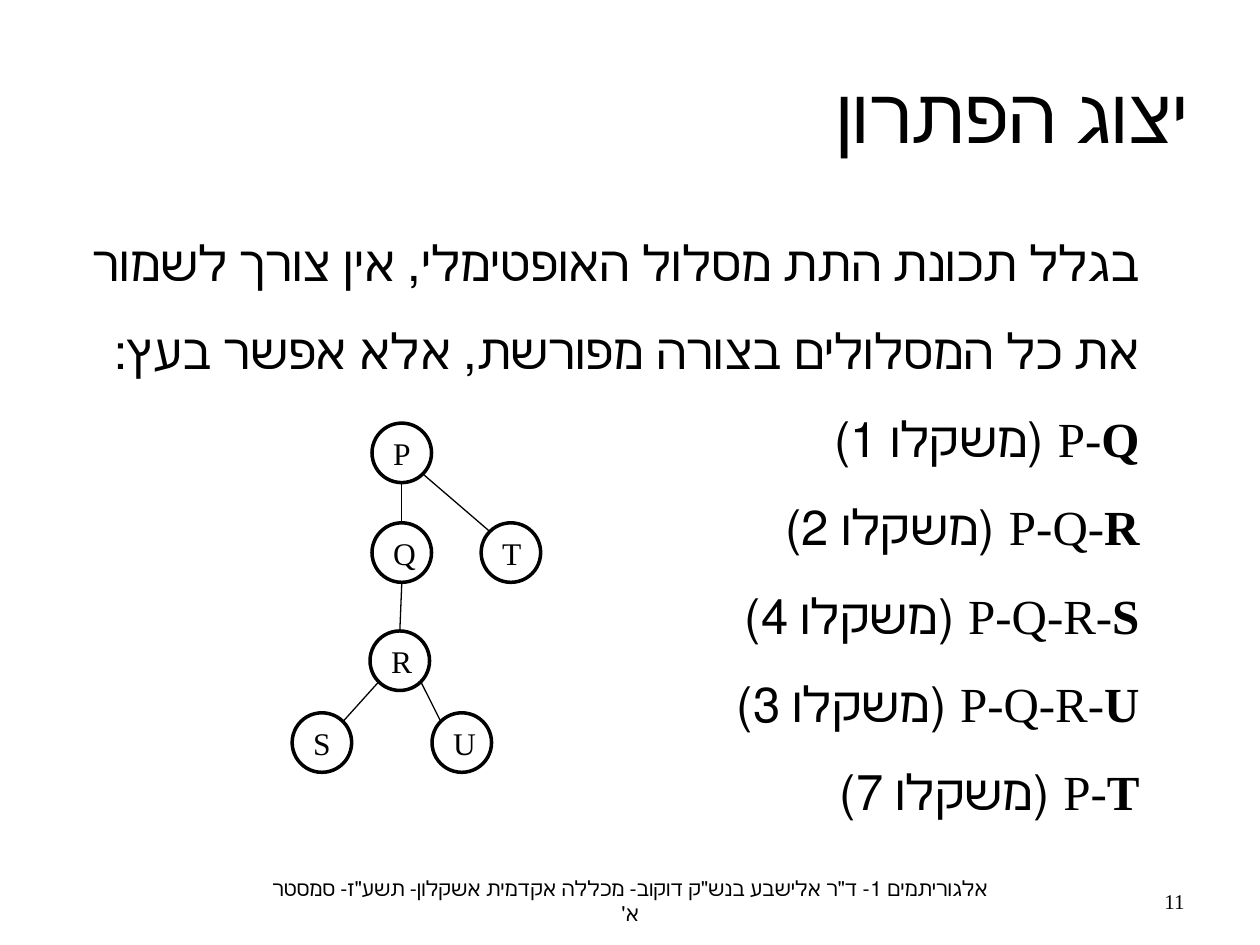
import math
from dataclasses import dataclass

from lxml import etree
from pptx import Presentation
from pptx import util as u
from pptx.dml.color import RGBColor
from pptx.enum import shapes, text
from pptx.oxml.ns import qn

BLACK = RGBColor(0, 0, 0)
WHITE = RGBColor(255, 255, 255)
FONT = "Times New Roman"
DIAMETER = 1.2  # cm
LEFT, CENTER, RIGHT = text.PP_ALIGN.LEFT, text.PP_ALIGN.CENTER, text.PP_ALIGN.RIGHT


@dataclass(frozen=True)
class Node:
    name: str
    x: float  # centre, cm
    y: float

    def rim(self, angle: float) -> tuple[u.Cm, u.Cm]:
        """Point on the circle, clockwise in degrees from the right."""
        a = math.radians(angle)
        return (u.Cm(self.x + DIAMETER / 2 * math.cos(a)),
                u.Cm(self.y + DIAMETER / 2 * math.sin(a)))


@dataclass(frozen=True)
class Edge:
    parent: str
    child: str
    angle: float  # where the line leaves the parent


@dataclass(frozen=True)
class Route:
    prefix: str
    last: str
    weight: int


NODES = [
    Node("P", 8.1, 9.13),
    Node("Q", 8.1, 11.14),
    Node("R", 8.06, 13.32),
    Node("U", 9.31, 14.97),
    Node("S", 6.49, 14.97),
    Node("T", 10.3, 11.14),
]
EDGES = [
    Edge("P", "Q", 90),
    Edge("Q", "R", 90),
    Edge("R", "S", 135),
    Edge("R", "U", 45),
    Edge("P", "T", 45),
]
ROUTES = [
    Route("P-", "Q", 1),
    Route("P-Q-", "R", 2),
    Route("P-Q-R-", "S", 4),
    Route("P-Q-R-", "U", 3),
    Route("P-", "T", 7),
]


def write(p, content: str, *, size: float, bold: bool = False, align=RIGHT,
          rtl: bool = False, spacing: float | None = None) -> None:
    """Append a run to a paragraph and format both."""
    p.alignment = align
    if rtl:
        p._p.get_or_add_pPr().set("rtl", "1")
    if spacing:
        p.line_spacing = spacing
    r = p.add_run()
    r.text = content
    r.font.name = FONT
    r.font.size = u.Pt(size)
    r.font.bold = bold
    r.font.color.rgb = BLACK


def add_box(s, x: float, y: float, w: float, h: float, anchor=text.MSO_ANCHOR.MIDDLE):
    tf = s.shapes.add_textbox(u.Cm(x), u.Cm(y), u.Cm(w), u.Cm(h)).text_frame
    tf.word_wrap = True
    tf.vertical_anchor = anchor
    return tf


def add_node(s, node: Node) -> None:
    r = DIAMETER / 2
    sp = s.shapes.add_shape(shapes.MSO_SHAPE.OVAL, u.Cm(node.x - r), u.Cm(node.y - r),
                            u.Cm(DIAMETER), u.Cm(DIAMETER))
    sp.shadow.inherit = False
    sp.fill.solid()
    sp.fill.fore_color.rgb = WHITE
    sp.line.color.rgb = BLACK
    sp.line.width = u.Pt(2)
    tf = sp.text_frame
    tf.vertical_anchor = text.MSO_ANCHOR.MIDDLE
    write(tf.paragraphs[0], node.name, size=18, align=CENTER)


def add_edge(s, parent: Node, child: Node, angle: float) -> None:
    c = s.shapes.add_connector(shapes.MSO_CONNECTOR.STRAIGHT,
                               *parent.rim(angle), *child.rim(angle + 180))
    c.line.color.rgb = BLACK
    c.line.width = u.Pt(0.75)
    etree.SubElement(c._element.spPr, qn("a:effectLst"))


def main() -> None:
    prs = Presentation()
    prs.slide_width, prs.slide_height = u.Cm(25.4), u.Cm(19.05)
    s = prs.slides.add_slide(prs.slide_layouts[6])

    # Body: explanation, then one line per route
    tf = add_box(s, 1.4, 3.96, 21.82, 12.83, text.MSO_ANCHOR.TOP)
    tf.auto_size = text.MSO_AUTO_SIZE.SHAPE_TO_FIT_TEXT
    body = dict(size=28, rtl=True, spacing=1.5)
    write(tf.paragraphs[0], "בגלל תכונת התת מסלול האופטימלי, אין צורך לשמור את כל "
          "המסלולים בצורה מפורשת, אלא אפשר בעץ:", **body)
    for route in ROUTES:
        p = tf.add_paragraph()
        write(p, route.prefix, **body)
        write(p, f"{route.last} ", bold=True, **body)
        write(p, f"(משקלו {route.weight})", **body)

    # Footer and slide number
    tf = add_box(s, 5.16, 17.65, 15.09, 1.02)
    write(tf.paragraphs[0], "אלגוריתמים 1- ד\"ר אלישבע בנש\"ק דוקוב- מכללה אקדמית "
          "אשקלון- תשע\"ז- סמסטר א'", size=12, align=CENTER, rtl=True)
    tf = add_box(s, 18.21, 17.65, 5.92, 1.02)
    write(tf.paragraphs[0], "11", size=12)

    # Title
    tf = add_box(s, 0.99, 0.79, 23.22, 2.97)
    write(tf.paragraphs[0], "יצוג הפתרון", size=44, rtl=True)

    # Tree
    for node in NODES:
        add_node(s, node)
    by_name = {node.name: node for node in NODES}
    for edge in EDGES:
        add_edge(s, by_name[edge.parent], by_name[edge.child], edge.angle)

    prs.save("out.pptx")


if __name__ == "__main__":
    main()
